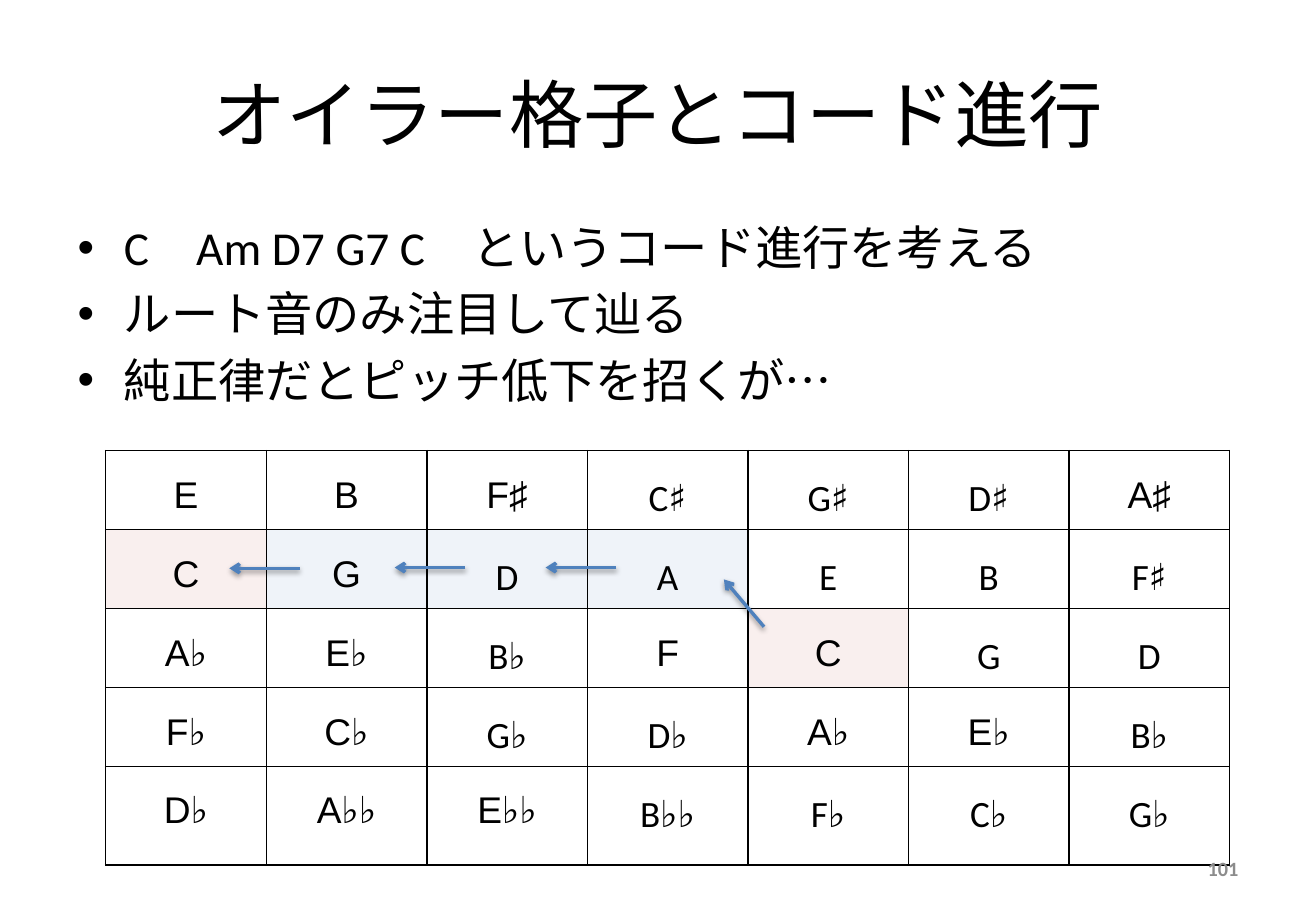
from lxml import etree
from pptx import Presentation
from pptx.dml.color import RGBColor
from pptx.enum.shapes import MSO_CONNECTOR
from pptx.enum.text import MSO_ANCHOR, PP_ALIGN
from pptx.oxml.ns import qn
from pptx.util import Emu, Inches, Pt

STRAIGHT = MSO_CONNECTOR.STRAIGHT
TOP, MIDDLE = MSO_ANCHOR.TOP, MSO_ANCHOR.MIDDLE
LEFT, CENTER, RIGHT = PP_ALIGN.LEFT, PP_ALIGN.CENTER, PP_ALIGN.RIGHT

BULLETS = [
    "C　Am D7 G7 C　というコード進行を考える",
    "ルート音のみ注目して辿る",
    "純正律だとピッチ低下を招くが…",
]
LATTICE = [
    "E B F♯ C♯ G♯ D♯ A♯",
    "C G D A E B F♯",
    "A♭ E♭ B♭ F C G D",
    "F♭ C♭ G♭ D♭ A♭ E♭ B♭",
    "D♭ A♭♭ E♭♭ B♭♭ F♭ C♭ G♭",
]
ARIAL_COLUMNS = [{0, 1, 2, 6}, {0, 1}, {0, 1, 3, 4}, {0, 1, 4, 5}, {0, 1, 2}]
PINK, PALE_BLUE = "F2DCDB", "DCE6F2"
# (row, column) of each chord root on the lattice
ROOT_TINTS = {(1, 0): PINK, (1, 1): PALE_BLUE, (1, 2): PALE_BLUE,
              (1, 3): PALE_BLUE, (2, 4): PINK}
# Start and end of each step, in lattice columns and rows
ROOT_STEPS = [
    ((4.10, 2.23), (3.85, 1.63)),
    ((3.18, 1.48), (2.74, 1.48)),
    ((2.24, 1.48), (1.80, 1.48)),
    ((1.21, 1.49), (0.77, 1.49)),
]


def color(hex_string):
    return RGBColor.from_string(hex_string)


def add_element(parent, tag, **attributes):
    element = etree.SubElement(parent, qn(tag))
    for name, value in attributes.items():
        element.set(name, str(value))
    return element


class LatticeSlide:
    """One slide; boxes are given in percent of the slide's width and height."""
    font = "Calibri"
    ink = "000000"
    accent = "4F81BD"
    table_box = (8.03, 49.47, 85.41)
    row_height = 8.67
    last_row_height = 10.8

    def __init__(self, presentation):
        self.width = presentation.slide_width
        self.height = presentation.slide_height
        self.slide = presentation.slides.add_slide(presentation.slide_layouts[6])

    def x(self, percent):
        return Emu(round(self.width * percent / 100))

    def y(self, percent):
        return Emu(round(self.height * percent / 100))

    def add_run(self, paragraph, text, size, font=None, ink=None, bold=False):
        run = paragraph.add_run()
        run.text = text
        run.font.size = Pt(size)
        run.font.name = font or self.font
        run.font.bold = bold
        run.font.color.rgb = color(ink or self.ink)

    def add_text(self, box, lines, size, align=LEFT, anchor=MIDDLE,
                 bulleted=False, **run_style):
        left, top, width, height = box
        shape = self.slide.shapes.add_textbox(
            self.x(left), self.y(top), self.x(width), self.y(height))
        frame = shape.text_frame
        frame.word_wrap = True
        frame.vertical_anchor = anchor
        for index, line in enumerate(lines):
            paragraph = frame.add_paragraph() if index else frame.paragraphs[0]
            paragraph.alignment = align
            if index:
                paragraph.space_before = Pt(size * 0.2)
            if bulleted:
                self.add_bullet(paragraph)
            self.add_run(paragraph, line, size, **run_style)

    def add_bullet(self, paragraph):
        properties = paragraph._p.get_or_add_pPr()
        indent = Inches(0.38)
        properties.set("marL", str(indent))
        properties.set("indent", str(-indent))
        add_element(properties, "a:buFont", typeface="Arial")
        add_element(properties, "a:buChar", char="•")

    def add_lattice(self, rows):
        left, top, width = self.table_box
        cells = [row.split() for row in rows]
        heights = [self.row_height] * (len(rows) - 1) + [self.last_row_height]
        self.columns = len(cells[0])
        table = self.slide.shapes.add_table(
            len(rows), self.columns, self.x(left), self.y(top),
            self.x(width), self.y(sum(heights))).table
        table.first_row = table.horz_banding = False
        for column in table.columns:
            column.width = self.x(width / self.columns)
        for row_index, notes in enumerate(cells):
            table.rows[row_index].height = self.y(heights[row_index])
            for column_index, note in enumerate(notes):
                arial = column_index in ARIAL_COLUMNS[row_index]
                self.fill_cell(table.cell(row_index, column_index), note,
                               "Arial" if arial else self.font,
                               ROOT_TINTS.get((row_index, column_index)))

    def fill_cell(self, cell, note, font, tint):
        cell.margin_left = cell.margin_right = Inches(0.13)
        cell.margin_top = cell.margin_bottom = Inches(0.06)
        paragraph = cell.text_frame.paragraphs[0]
        paragraph.alignment = CENTER
        paragraph.line_spacing = 1.4
        self.add_run(paragraph, note, 22, font)
        properties = cell._tc.get_or_add_tcPr()
        for side in "LRTB":
            border = add_element(properties, f"a:ln{side}", w=Pt(1))
            fill = add_element(border, "a:solidFill")
            add_element(fill, "a:srgbClr", val=self.ink)
        if tint:
            cell.fill.solid()
            cell.fill.fore_color.rgb = color(tint)
            add_element(properties.find(".//" + qn("a:solidFill") + "/"
                        + qn("a:srgbClr") + f"[@val='{tint}']"),
                        "a:alpha", val=45000)
        else:
            cell.fill.background()

    def lattice_point(self, column, row):
        left, top, width = self.table_box
        return (self.x(left + column * width / self.columns),
                self.y(top + row * self.row_height))

    def add_step(self, start, end):
        """Draw an arrow between two points given in lattice columns and rows."""
        arrow = self.slide.shapes.add_connector(
            STRAIGHT, *self.lattice_point(*start), *self.lattice_point(*end))
        arrow.line.color.rgb = color(self.accent)
        arrow.line.width = Pt(2)
        properties = arrow._element.spPr
        add_element(properties.find(qn("a:ln")), "a:tailEnd", type="arrow")
        effects = add_element(properties, "a:effectLst")
        shadow = add_element(effects, "a:outerShdw", blurRad=Pt(3.1),
                             dist=Pt(1.6), dir=5400000, rotWithShape=0)
        black = add_element(shadow, "a:srgbClr", val="000000")
        add_element(black, "a:alpha", val=38000)


def main():
    presentation = Presentation()
    presentation.slide_width = Inches(10.83)
    presentation.slide_height = Inches(7.5)
    slide = LatticeSlide(presentation)
    slide.add_text((5, 4, 90, 16.67), ["オイラー格子とコード進行"], 44, CENTER)
    slide.add_text((5, 23.33, 90, 66), BULLETS, 28, anchor=TOP, bulleted=True)
    slide.add_lattice(LATTICE)
    for start, end in ROOT_STEPS:
        slide.add_step(start, end)
    slide.add_text((71.65, 92.67, 23.36, 5.33), ["101"], 12, RIGHT,
                   ink="8C8C8C", bold=True)
    presentation.save("out.pptx")


if __name__ == "__main__":
    main()
